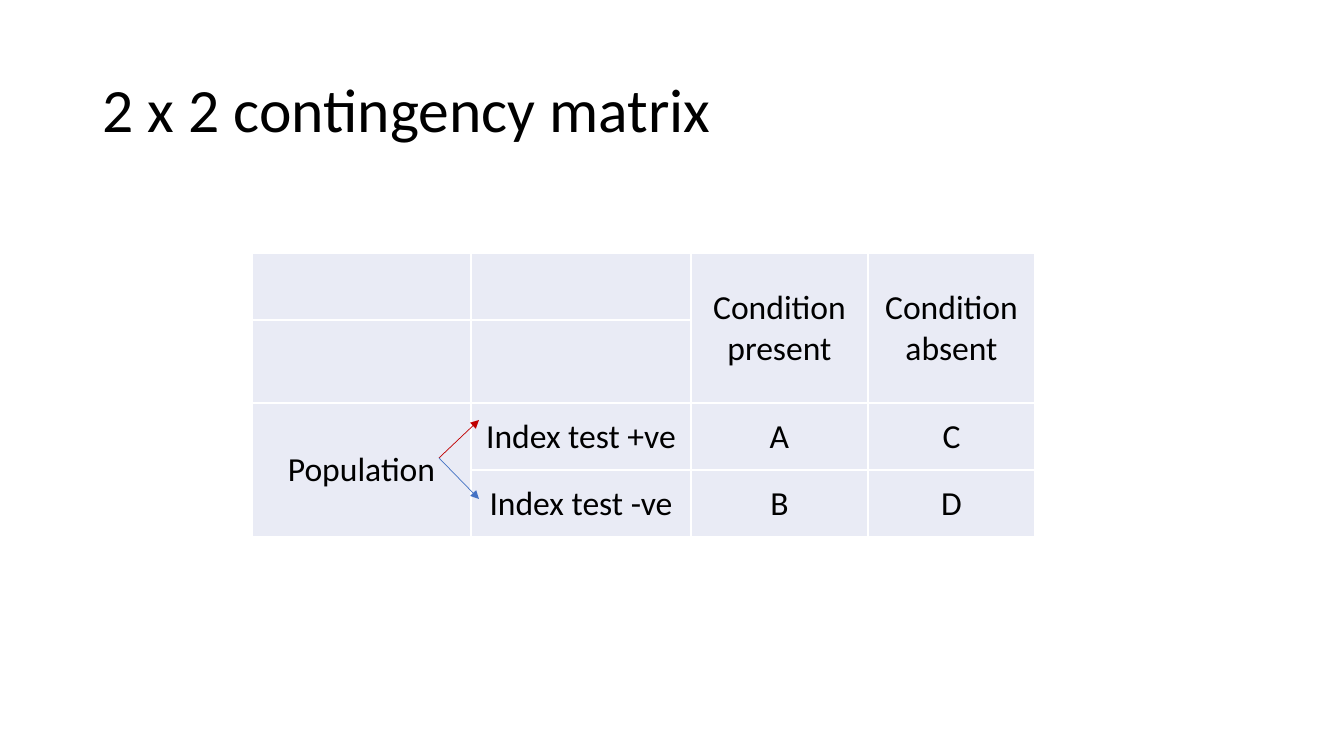
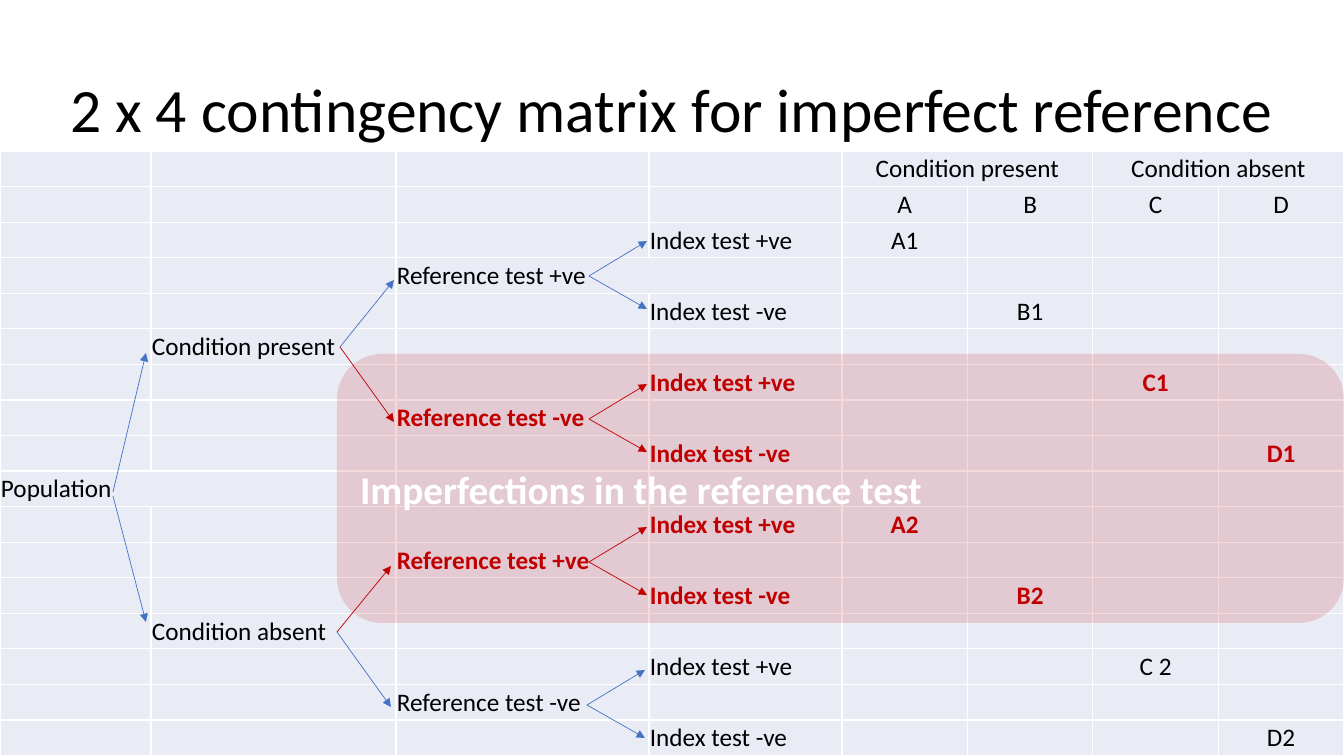
from pptx import Presentation, util as u
from pptx.dml.color import RGBColor
from pptx.enum import shapes, text
from pptx.oxml import parse_xml
from pptx.oxml.ns import nsdecls, qn
from lxml import etree

PX = 914400 / 100.8
HUES = {"ink": "000000", "red": "C00000", "blue": "4472C4",
        "cell": "E9EBF5", "white": "FFFFFF"}
LEFT, MID = text.PP_ALIGN.LEFT, text.PP_ALIGN.CENTER


def px(n):
    return u.Emu(round(n * PX))


def hue(name):
    return RGBColor.from_string(HUES[name])


def write(frame, words, size=18, color="ink", bold=False, align=LEFT, space=None):
    para = frame.paragraphs[0]
    para.alignment = align
    para.line_spacing = space
    run = para.add_run()
    run.text = words
    font = run.font
    font.name, font.size, font.bold = "Calibri", u.Pt(size), bold
    font.color.rgb = hue(color)


def title(slide, words, left, width, align=LEFT):
    frame = slide.shapes.add_textbox(px(left), px(40), px(width), px(146)).text_frame
    frame.word_wrap = True
    frame.vertical_anchor = text.MSO_ANCHOR.MIDDLE
    write(frame, words, size=44, align=align, space=0.9)


def style(cell):
    cell.fill.solid()
    cell.fill.fore_color.rgb = hue("cell")
    cell.vertical_anchor = text.MSO_ANCHOR.MIDDLE
    cell.margin_left = cell.margin_right = cell.margin_top = px(1)
    cell.margin_bottom = 0
    props = cell._tc.get_or_add_tcPr()
    for i, side in enumerate("LRTB"):
        props.insert(i, parse_xml(
            f'<a:ln{side} {nsdecls("a")} w="12700"><a:solidFill>'
            f'<a:srgbClr val="{HUES["white"]}"/></a:solidFill></a:ln{side}>'))


def grid(slide, left, top, cols, rows, high, spans):
    table = slide.shapes.add_table(rows, len(cols), px(left), px(top),
                                   px(sum(cols)), px(rows * high)).table
    table.first_row = table.horz_banding = False
    for col, wide in zip(table.columns, cols):
        col.width = px(wide)
    for row in table.rows:
        row.height = px(high)
    for cell in table.iter_cells():
        style(cell)
    for start, end in spans:
        table.cell(*start).merge(table.cell(*end))
    return table


def put(table, row, col, words, **form):
    write(table.cell(row, col).text_frame, words, **form)


def arrow(slide, start, end, color):
    line = slide.shapes.add_connector(shapes.MSO_CONNECTOR.STRAIGHT,
                                      *map(px, start + end))
    line.line.color.rgb = hue(color)
    line.line.width = u.Pt(0.5)
    props = line.element.spPr
    etree.SubElement(props.find(qn("a:ln")), qn("a:tailEnd"), type="triangle")
    etree.SubElement(props, qn("a:effectLst"))


def fork(slide, start, right, up, down, colors):
    for y, color in zip((up, down), colors):
        arrow(slide, start, (right, y), color)


def zone(slide, words):
    box = slide.shapes.add_shape(shapes.MSO_SHAPE.ROUNDED_RECTANGLE,
                                 px(337), px(354), px(1007), px(269))
    box.shadow.inherit = False
    box.line.fill.background()
    box.fill.solid()
    box.fill.fore_color.rgb = hue("red")
    tint = box.element.spPr.find(qn("a:solidFill")).find(qn("a:srgbClr"))
    etree.SubElement(tint, qn("a:alpha"), val="14000")
    box.text_frame.word_wrap = True
    box.text_frame.vertical_anchor = text.MSO_ANCHOR.MIDDLE
    write(box.text_frame, words, size=28, color="white", bold=True)


def simple(slide):
    table = grid(slide, 252, 253, (219, 220, 177, 167), 4, 67,
                 [((0, 2), (1, 2)), ((0, 3), (1, 3)), ((2, 0), (3, 0))])
    for row, col, words in (
            (0, 2, "Condition present"), (0, 3, "Condition absent"),
            (2, 0, "Population"), (2, 1, "Index test +ve"), (2, 2, "A"), (2, 3, "C"),
            (3, 1, "Index test -ve"), (3, 2, "B"), (3, 3, "D")):
        put(table, row, col, words, size=24, align=MID)
    title(slide, "2 x 2 contingency matrix", 93, 1159)
    fork(slide, (439, 458), 479, 420, 499, ("red", "blue"))


def tree(slide):
    table = grid(slide, 0, 151, (151, 245, 253, 193, 125.5, 125.5, 125.5, 125.5),
                 17, 604.8 / 17,
                 [((0, 4), (0, 5)), ((0, 6), (0, 7)), ((3, 2), (3, 3)), ((9, 0), (9, 1))])
    put(table, 9, 0, "Population")
    for i, name in enumerate(("Condition present", "Condition absent")):
        put(table, 0, 4 + 2 * i, name, align=MID)
        put(table, 5 + 8 * i, 1, name)
    for i, name in enumerate("ABCD"):
        put(table, 1, 4 + i, name, align=MID)
    signs = ("+ve", "-ve")
    flaws = (False, True, True, False)
    for i, flaw in enumerate(flaws):
        form = {"color": "red" if flaw else "ink", "bold": flaw}
        put(table, 3 + 4 * i, 2, f"Reference test {signs[i % 2]}", **form)
        for j, sign in enumerate(signs):
            put(table, 2 + 4 * i + 2 * j, 3, f"Index test {sign}", **form)
    codes = ("A1", "B1", "C1", "D1", "A2", "B2", "C 2", "D2")
    for i, code in enumerate(codes):
        flaw = flaws[i // 2]
        put(table, 2 + 2 * i, 4 + i % 4, code, align=MID,
            color="red" if flaw else "ink", bold=flaw)

    zone(slide, "Imperfections in the reference test")
    title(slide, "2 x 4 contingency matrix for imperfect reference", 0, 1344, MID)
    arrow(slide, (113, 492), (146, 353), "blue")
    arrow(slide, (113, 496), (146, 622), "blue")
    fork(slide, (340, 347), 394, 280, 422, ("blue", "red"))
    fork(slide, (337, 632), 391, 566, 707, ("red", "blue"))
    for i, (left, flaw) in enumerate(zip((589, 589, 589, 587), flaws)):
        y = 276 + 143 * i
        fork(slide, (left, y), left + 58, y - 35, y + 33,
             ("red" if flaw else "blue",) * 2)


def main():
    deck = Presentation()
    deck.slide_width, deck.slide_height = px(1344), px(756)
    for build in (simple, tree):
        build(deck.slides.add_slide(deck.slide_layouts[6]))
    deck.save("out.pptx")


main()
